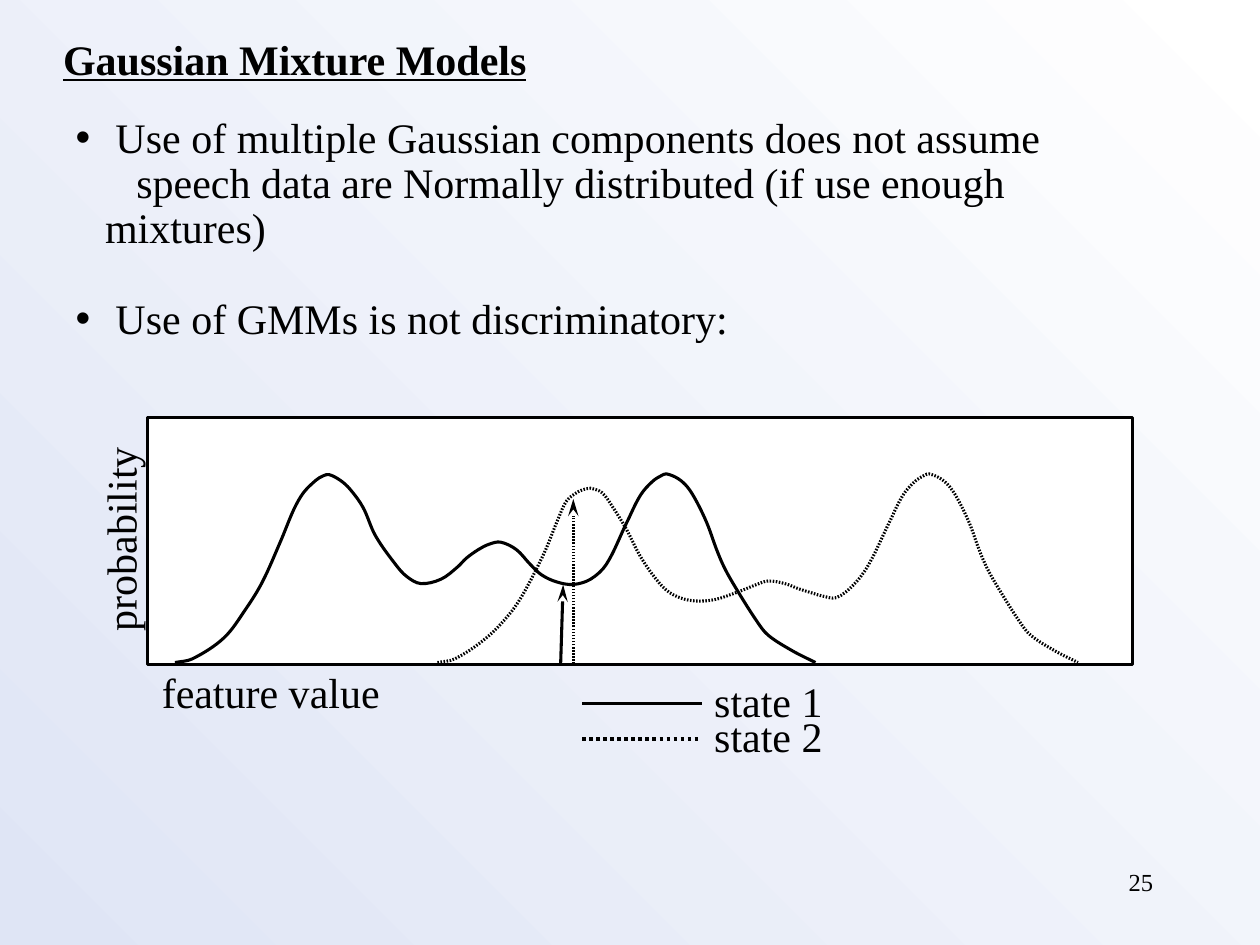
"""Build a slide on Gaussian mixture models with two state density curves."""
from dataclasses import dataclass
from math import dist
from typing import Optional

from lxml.etree import SubElement
from pptx import Presentation
from pptx.dml.color import RGBColor
from pptx.enum.shapes import MSO_CONNECTOR, MSO_SHAPE
from pptx.enum.text import MSO_ANCHOR, MSO_AUTO_SIZE, PP_ALIGN
from pptx.oxml.ns import qn
from pptx.util import Pt

Point = tuple[float, float]


@dataclass(frozen=True)
class Theme:
    ink: RGBColor = RGBColor(0, 0, 0)
    paper: RGBColor = RGBColor(255, 255, 255)
    backdrop: RGBColor = RGBColor(0xDF, 0xE5, 0xF5)
    font: str = "Times New Roman"
    text_size: float = 24
    number_size: float = 14
    line_width: float = 1.75
    line_spacing: float = 0.9


@dataclass(frozen=True)
class Dash:
    length: int
    gap: int


@dataclass(frozen=True)
class Frame:
    left: float
    top: float
    width: float
    height: float


@dataclass(frozen=True)
class Item:
    text: str
    margin: float
    indent: float
    bullet: bool = True
    before: float = 0


THEME = Theme()


@dataclass(frozen=True)
class Label:
    text: str
    frame: Frame
    align: PP_ALIGN = PP_ALIGN.CENTER
    rotation: float = 0
    size: float = THEME.text_size
    anchor: MSO_ANCHOR = MSO_ANCHOR.MIDDLE
    spacing: float = THEME.line_spacing


@dataclass(frozen=True)
class State:
    name: str
    knots: list[Point]
    arrow: tuple[Point, Point]
    dash: Optional[Dash]
    key_dash: Optional[Dash]
    key_width: float


FINE_DOTS = Dash(50000, 50000)
KEY_DOTS = Dash(100000, 100000)
STATE_SHIFT = 150

SHARED_HUMP = [
    (346.5, 322.5), (358, 299), (366, 283), (373, 275), (378.5, 271.5), (381, 270.8),
    (387.5, 273.5), (393, 278.5), (398, 286.5), (404, 299), (409.5, 314), (414, 324.5),
    (420.5, 336), (432.5, 355), (439, 363), (453, 372), (466, 378.6)]
FIRST_RISE = [
    (100, 378.6), (110, 376.5), (128, 364.5), (140.5, 348), (150, 332.5), (160.5, 309),
    (168, 291), (173.5, 281.5), (180.5, 274.5), (184.5, 272), (188, 271.2), (194.5, 274.5),
    (200, 279.5), (207.5, 290), (214.5, 306), (226, 322.5), (232.5, 329.5), (240.5, 333.5),
    (252, 331), (261.5, 324), (266.5, 319), (273.5, 314), (279.5, 311), (286, 309.8),
    (295, 314), (303, 322.5), (309.5, 328.5), (318, 332.5), (327.5, 334), (337.5, 331)]
SECOND_RISE = [
    (250, 378.6), (260, 376.5), (278, 364.5), (291.5, 350.5), (299.5, 338.5), (311, 316),
    (319, 296.5), (324, 286), (330.5, 281), (335, 279.3), (337.5, 279), (344, 281.5),
    (350, 289.5), (358, 302.5), (366, 318), (375, 331), (382.5, 338.5), (391.5, 342.5),
    (400.5, 343.5), (409, 342.5), (417, 340), (425, 337), (432.5, 334), (439, 332),
    (448.5, 333.5), (456.5, 336.5), (464.5, 339), (469.5, 340.5), (478, 341.5), (488, 334)]

STATES = [
    State("state 1", FIRST_RISE + SHARED_HUMP, ((320.4, 379.4), (321.8, 334.1)), None, None, 1.75),
    State("state 2", SECOND_RISE + [(x + STATE_SHIFT, y) for x, y in SHARED_HUMP],
          ((327.6, 379.4), (327.6, 285.1)), FINE_DOTS, KEY_DOTS, 2),
]
ITEMS = [
    Item("Use of multiple Gaussian components does not assume", 22.8, -22.8),
    Item("speech data are Normally distributed (if use enough mixtures)", 16.8, 17.9, bullet=False),
    Item("Use of GMMs is not discriminatory:", 22.8, -22.8, before=25.8),
]
LABELS = [
    Label("feature value", Frame(85.4, 380.5, 139, 33.1), PP_ALIGN.LEFT),
    Label("probability", Frame(10.5, 291.6, 119.5, 33.1), rotation=270),
    Label("25", Frame(516.2, 492.1, 149.8, 36), PP_ALIGN.RIGHT, size=THEME.number_size,
          anchor=MSO_ANCHOR.TOP, spacing=1),
]


def place(shape, frame: Frame) -> None:
    shape.left, shape.top = Pt(frame.left), Pt(frame.top)
    shape.width, shape.height = Pt(frame.width), Pt(frame.height)


def write(para, text: str, *, size: float = THEME.text_size, bold: bool = False,
          underline: bool = False, align: PP_ALIGN = PP_ALIGN.LEFT,
          spacing: float = THEME.line_spacing, before: float = 0) -> None:
    para.alignment, para.line_spacing, para.space_before = align, spacing, Pt(before)
    span = para.add_run()
    span.text = text
    span.font.name, span.font.size = THEME.font, Pt(size)
    span.font.bold, span.font.underline = bold, underline
    span.font.color.rgb = THEME.ink


def set_frame(box, anchor: MSO_ANCHOR, wrap: bool = False):
    frame = box.text_frame
    frame.auto_size, frame.word_wrap, frame.vertical_anchor = MSO_AUTO_SIZE.NONE, wrap, anchor
    return frame


def draw_label(page, label: Label):
    box = page.shapes.add_textbox(0, 0, 0, 0)
    place(box, label.frame)
    box.rotation = label.rotation
    frame = set_frame(box, label.anchor)
    write(frame.paragraphs[0], label.text, size=label.size, align=label.align,
          spacing=label.spacing)
    return box


def style_line(shape, width: float = THEME.line_width, dash: Optional[Dash] = None,
               arrow: bool = False) -> None:
    shape.line.color.rgb, shape.line.width = THEME.ink, Pt(width)
    line = shape.line._get_or_add_ln()
    if dash:
        pattern = SubElement(line, qn("a:custDash"))
        SubElement(pattern, qn("a:ds"), d=str(dash.length), sp=str(dash.gap))
    if arrow:
        SubElement(line, qn("a:tailEnd"), type="stealth", w="med", len="lg")


def draw_line(page, start: Point, end: Point, **style):
    line = page.shapes.add_connector(MSO_CONNECTOR.STRAIGHT, *(Pt(v) for v in start + end))
    style_line(line, **style)
    SubElement(line._element.spPr, qn("a:effectLst"))
    return line


def handle(knot: Point, before: Point, after: Point, reach: float) -> Point:
    scale = reach / (3 * (dist(before, knot) + dist(knot, after)))
    return knot[0] + (after[0] - before[0]) * scale, knot[1] + (after[1] - before[1]) * scale


def bend(curve) -> None:
    segments = list(curve._element.iter(qn("a:moveTo"), qn("a:lnTo")))
    knots = [(int(s[0].get("x")), int(s[0].get("y"))) for s in segments]
    padded = [knots[0], *knots, knots[-1]]
    for segment, a, b, c, d in zip(segments[1:], padded, padded[1:], padded[2:], padded[3:]):
        chord = dist(b, c)
        segment.tag = qn("a:cubicBezTo")
        segment.remove(segment[0])
        for x, y in (handle(b, a, c, chord), handle(c, d, b, chord), c):
            SubElement(segment, qn("a:pt"), x=str(round(x)), y=str(round(y)))


def draw_state(page, state: State, row: int) -> None:
    start, *rest = [(Pt(x), Pt(y)) for x, y in state.knots]
    builder = page.shapes.build_freeform(*start)
    builder.add_line_segments(rest, close=False)
    curve = builder.convert_to_shape()
    bend(curve)
    curve.fill.background()
    curve.shadow.inherit = False
    style_line(curve, dash=state.dash)
    draw_line(page, *state.arrow, dash=state.dash, arrow=True)
    middle = 402 + 20.2 * row
    label = draw_label(page, Label(state.name, Frame(401, middle - 16.55, 76.3, 33.1)))
    key = draw_line(page, (332.6, middle), (401, middle), width=state.key_width, dash=state.key_dash)
    key.end_connect(label, 1)


def main() -> None:
    deck = Presentation()
    deck.slide_width, deck.slide_height = Pt(720), Pt(540)
    page = deck.slides.add_slide(deck.slide_layouts[1])
    fill = page.background.fill
    fill.gradient()
    fill.gradient_angle = 225
    for stop, color in zip(fill.gradient_stops, (THEME.paper, THEME.backdrop)):
        stop.color.rgb = color
    title, body = page.placeholders
    place(title, Frame(28.8, 15.5, 279.4, 36))
    write(set_frame(title, MSO_ANCHOR.TOP).paragraphs[0], "Gaussian Mixture Models",
          bold=True, underline=True, spacing=1)
    place(body, Frame(36, 63.2, 626.4, 164.2))
    frame = set_frame(body, MSO_ANCHOR.TOP, wrap=True)
    for index, item in enumerate(ITEMS):
        para = frame.add_paragraph() if index else frame.paragraphs[0]
        write(para, item.text, before=item.before)
        props = para._p.get_or_add_pPr()
        props.set("marL", str(Pt(item.margin)))
        props.set("indent", str(Pt(item.indent)))
        if not item.bullet:
            SubElement(props, qn("a:buNone"))
    plot = page.shapes.add_shape(MSO_SHAPE.RECTANGLE, 0, 0, 0, 0)
    place(plot, Frame(84.2, 238.6, 563, 141.1))
    plot.fill.solid()
    plot.fill.fore_color.rgb = THEME.paper
    plot.shadow.inherit = False
    style_line(plot)
    for label in LABELS:
        draw_label(page, label)
    for row, state in enumerate(STATES):
        draw_state(page, state, row)
    deck.save("out.pptx")


if __name__ == "__main__":
    main()
